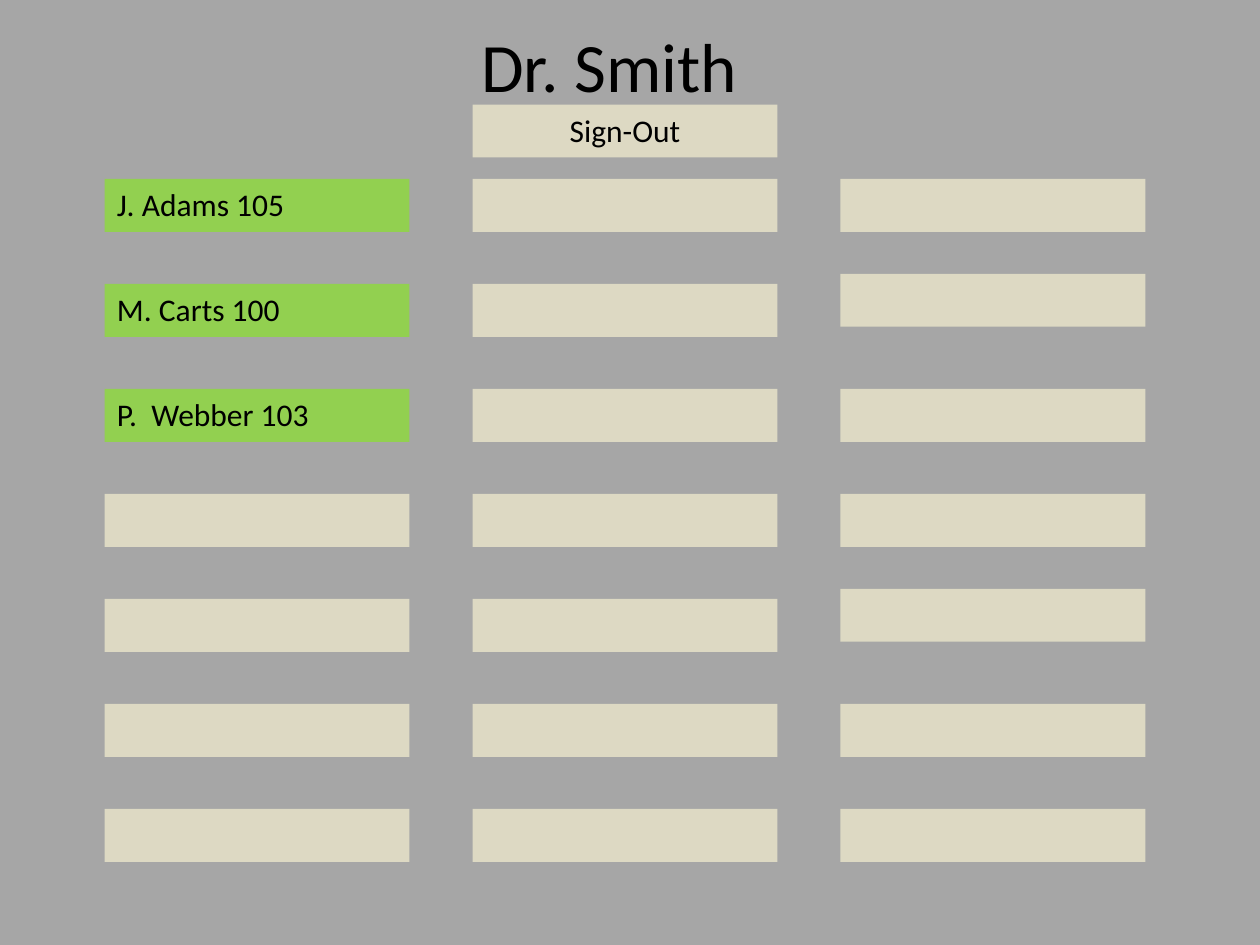
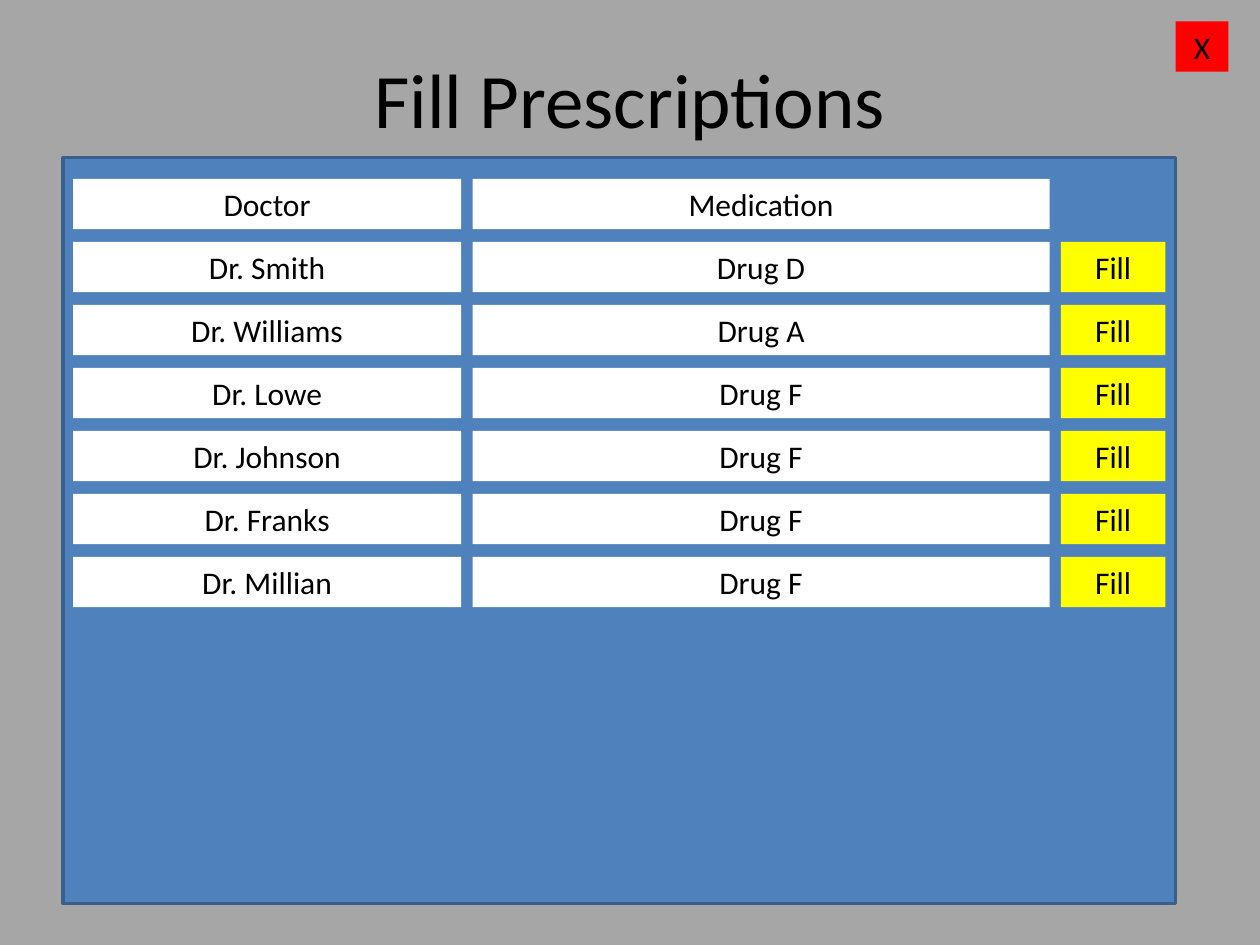
import pptx
import pptx.util
import pptx.dml.color
import pptx.enum.shapes
import pptx.enum.text

Inches = pptx.util.Inches
ALIGN = pptx.enum.text.PP_ALIGN
ANCHOR = pptx.enum.text.MSO_ANCHOR
FIT = pptx.enum.text.MSO_AUTO_SIZE

# Content
PATIENTS = ["J. Adams 105", "M. Carts 100", "P.  Webber 103"]
SCRIPTS = [
    ("Doctor", "Medication"),
    ("Dr. Smith", "Drug D", "Fill"),
    ("Dr. Williams", "Drug A", "Fill"),
    ("Dr. Lowe", "Drug F", "Fill"),
    ("Dr. Johnson", "Drug F", "Fill"),
    ("Dr. Franks", "Drug F", "Fill"),
    ("Dr. Millian", "Drug F", "Fill"),
]

# Shared look
GREY, TAN, GREEN, BLUE = "A6A6A6", "DDD9C3", "92D050", "4F81BD"
EDGE, RED, WHITE, YELLOW, BLACK = "3A5F8C", "FF0000", "FFFFFF", "FFFF00", "000000"
FONT = {"name": "Calibri", "bold": False}
TOP = 1.42

# Patient grid: three columns of seven slots
COLS, ROWS = 3, 7
LEFT, STEP, PITCH = 0.83, 2.92, 5 / 6
SLOT_W, SLOT_H = 2.42, 0.42
RAISED = {(2, 1), (2, 4)}
LIFT = 0.08

# Prescription list: left, width and fill of each column
FIELDS = [(0.58, 3.08, WHITE), (3.75, 4.58, WHITE), (8.42, 0.83, YELLOW)]
LINE_H, LINE_STEP = 0.4, 0.5


def tint(code):
    return pptx.dml.color.RGBColor.from_string(code)


def style(font, size):
    for key, value in {**FONT, "size": pptx.util.Pt(size)}.items():
        setattr(font, key, value)
    font.color.rgb = tint(BLACK)


def start(deck, text, box, size):
    """Add a grey slide with its title."""
    slide = deck.slides.add_slide(deck.slide_layouts[5])
    slide.background.fill.solid()
    slide.background.fill.fore_color.rgb = tint(GREY)
    title = slide.shapes.title
    for key, value in zip(("left", "top", "width", "height"), box):
        setattr(title, key, Inches(value))
    frame = title.text_frame
    frame.text = text
    form = {"word_wrap": True, "auto_size": FIT.NONE,
            "vertical_anchor": ANCHOR.MIDDLE}
    for key, value in form.items():
        setattr(frame, key, value)
    frame.paragraphs[0].alignment = ALIGN.CENTER
    style(frame.paragraphs[0].runs[0].font, size)
    return slide


def block(slide, box, fill, text="", align=ALIGN.CENTER, edge=None):
    """Add a filled box, with text or an outline if given."""
    kind = pptx.enum.shapes.MSO_SHAPE.RECTANGLE
    shape = slide.shapes.add_shape(kind, *map(Inches, box))
    shape.shadow.inherit = False
    shape.fill.solid()
    shape.fill.fore_color.rgb = tint(fill)
    if edge:
        shape.line.color.rgb = tint(edge)
        shape.line.width = pptx.util.Pt(2)
    else:
        shape.line.fill.background()
    if text:
        frame = shape.text_frame
        frame.text = text
        form = {"word_wrap": True, "auto_size": FIT.SHAPE_TO_FIT_TEXT,
                "vertical_anchor": ANCHOR.TOP}
        for key, value in form.items():
            setattr(frame, key, value)
        frame.paragraphs[0].alignment = align
        style(frame.paragraphs[0].runs[0].font, 18)


def draw_ward(deck):
    slide = start(deck, "Dr. Smith", (0.5, 0.25, 8.67, 0.53), 39.6)
    for col in range(COLS):
        for row in range(ROWS):
            top = TOP + row * PITCH
            if (col, row) in RAISED:
                top -= LIFT
            named = col == 0 and row < len(PATIENTS)
            block(slide, (LEFT + col * STEP, top, SLOT_W, SLOT_H),
                  GREEN if named else TAN,
                  PATIENTS[row] if named else "", ALIGN.LEFT)
    # Sign-out button
    block(slide, (LEFT + STEP, 0.83, SLOT_W, SLOT_H), TAN, "Sign-Out")


def draw_scripts(deck):
    slide = start(deck, "Fill Prescriptions", (0.5, 0.3, 9, 0.95), 44)
    # Panel and close button
    block(slide, (0.5, 1.25, 8.83, 5.92), BLUE, edge=EDGE)
    block(slide, (9.33, 0.17, 0.42, LINE_H), RED, "X")
    # Header and order lines
    for row, texts in enumerate(SCRIPTS):
        for text, (left, width, fill) in zip(texts, FIELDS):
            block(slide, (left, TOP + row * LINE_STEP, width, LINE_H), fill, text)


def main():
    deck = pptx.Presentation()
    deck.slide_width, deck.slide_height = Inches(10), Inches(7.5)
    draw_ward(deck)
    draw_scripts(deck)
    deck.save("out.pptx")


if __name__ == "__main__":
    main()
